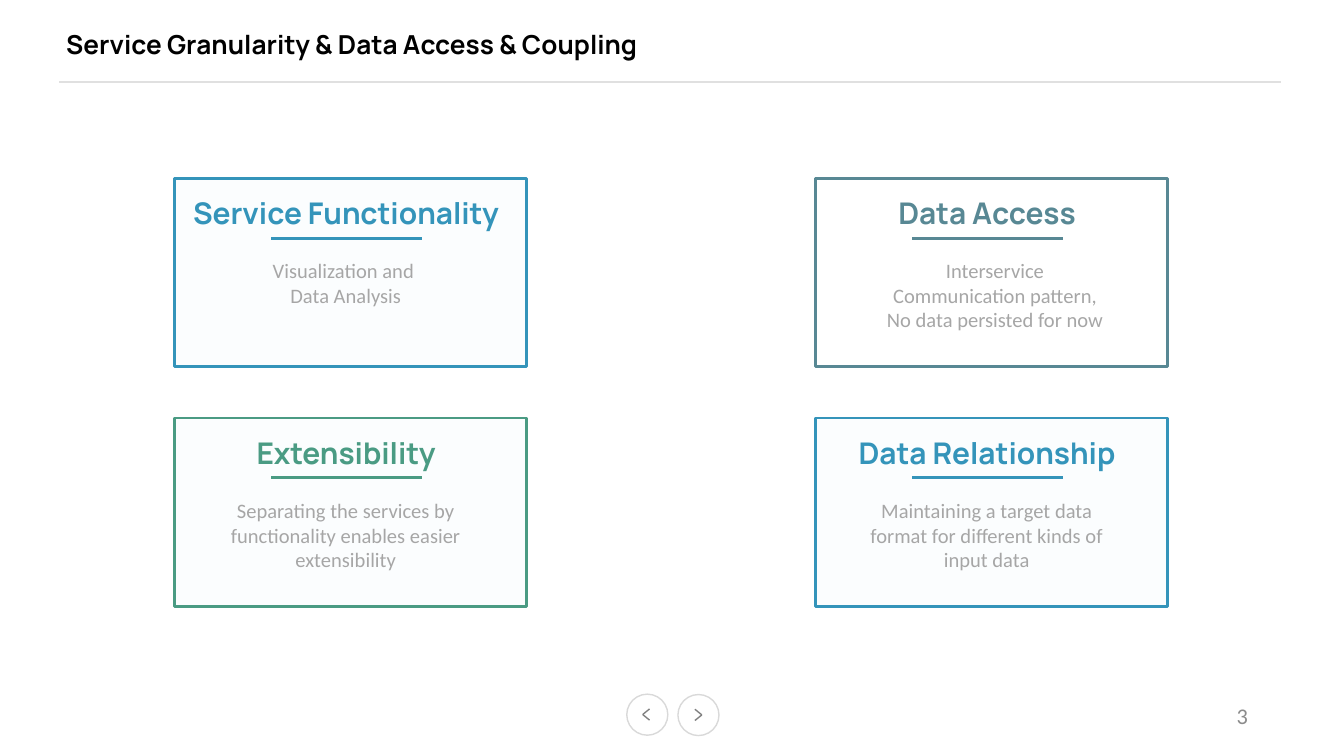
from dataclasses import dataclass

from lxml import etree
from pptx import Presentation
from pptx.dml.color import RGBColor
from pptx.enum import shapes, text
from pptx.oxml import ns
from pptx.util import Pt


@dataclass(frozen=True)
class Theme:
    heading_font: str = "Manrope"
    body_font: str = "Calibri"
    title_size: float = 14
    heading_size: float = 16
    body_size: float = 11
    number_size: float = 12
    thin: float = 0.75
    thick: float = 1.5
    black: str = "000000"
    white: str = "FFFFFF"
    blue: str = "3494BA"
    slate: str = "588894"
    green: str = "4A9B83"
    tint: str = "D4EAF3"
    body_gray: str = "A6A6A6"
    number_gray: str = "8C8C8C"
    divider_gray: str = "E0E0E0"
    button_gray: str = "D9D9D9"
    arrow_gray: str = "808080"
    fill_opacity: int = 8


@dataclass(frozen=True)
class Card:
    column: int
    row: int
    heading: str
    body: str
    color: str
    fill: str
    body_width: float = 140


@dataclass(frozen=True)
class NavigationButton:
    left: float
    top: float
    tip_x: float
    tail_x: float


THEME = Theme()
COLUMN_LEFTS = (93.6, 437)
ROW_TOPS = (95.6, 224)
CARD_WIDTH, CARD_HEIGHT = 188.6, 100.8

CARDS = (
    Card(0, 0, "Service Functionality", "Visualization and \vData Analysis", THEME.blue, THEME.tint),
    Card(0, 1, "Extensibility",
         "Separating the services by functionality enables easier extensibility",
         THEME.green, THEME.tint),
    Card(1, 0, "Data Access",
         "Interservice\vCommunication pattern,\nNo data persisted for now",
         THEME.slate, THEME.white, 149),
    Card(1, 1, "Data Relationship",
         "Maintaining a target data format for different kinds of input data",
         THEME.blue, THEME.tint),
)
BUTTONS = (NavigationButton(335.8, 371.9, 344.3, 348), NavigationButton(363.2, 372.1, 376, 372.3))


def add_line(slide, start: tuple[float, float], end: tuple[float, float],
             color: str, width: float) -> None:
    line = slide.shapes.add_connector(
        shapes.MSO_CONNECTOR.STRAIGHT, *(Pt(value) for value in (*start, *end)))
    line.line.color.rgb = RGBColor.from_string(color)
    line.line.width = Pt(width)
    etree.SubElement(line._element.spPr, ns.qn("a:effectLst"))


def format_text(frame, font: str, size: float, color: str,
                alignment: text.PP_ALIGN, bold: bool = False) -> None:
    frame.word_wrap = True
    for paragraph in frame.paragraphs:
        paragraph.alignment = alignment
        for run in paragraph.runs:
            run.font.name = font
            run.font.size = Pt(size)
            run.font.bold = bold
            run.font.color.rgb = RGBColor.from_string(color)


def add_text(slide, box: tuple[float, float, float, float], content: str, font: str,
             size: float, color: str, alignment=text.PP_ALIGN.CENTER, bold: bool = False):
    frame = slide.shapes.add_textbox(*(Pt(value) for value in box)).text_frame
    frame.text = content
    format_text(frame, font, size, color, alignment, bold)
    return frame


def add_outline(slide, kind: shapes.MSO_SHAPE, box: tuple[float, float, float, float],
                color: str, width: float):
    shape = slide.shapes.add_shape(kind, *(Pt(value) for value in box))
    shape.shadow.inherit = False
    shape.fill.background()
    shape.line.color.rgb = RGBColor.from_string(color)
    shape.line.width = Pt(width)
    return shape


def fill_translucent(shape, color: str, opacity: int) -> None:
    shape.fill.solid()
    shape.fill.fore_color.rgb = RGBColor.from_string(color)
    color_element = shape._element.spPr.find(ns.qn("a:solidFill"))[0]
    etree.SubElement(color_element, ns.qn("a:alpha"), val=str(opacity * 1000))


def add_card(slide, card: Card) -> None:
    left, top = COLUMN_LEFTS[card.column], ROW_TOPS[card.row]
    frame = add_outline(slide, shapes.MSO_SHAPE.RECTANGLE,
                        (left, top, CARD_WIDTH, CARD_HEIGHT), card.color, THEME.thick)
    fill_translucent(frame, card.fill, THEME.fill_opacity)
    add_line(slide, (left + 132.4, top + 32), (left + 51.8, top + 32), card.color, THEME.thick)
    heading = add_text(slide, (left, top + 5.2, 183.6, 27), card.heading,
                       THEME.heading_font, THEME.heading_size, card.color, bold=True)
    body = add_text(slide, (left + 21.6, top + 39.2, card.body_width, 47.5), card.body,
                    THEME.body_font, THEME.body_size, THEME.body_gray)
    for text_frame in (heading, body):
        text_frame.auto_size = text.MSO_AUTO_SIZE.SHAPE_TO_FIT_TEXT


def add_button(slide, button: NavigationButton) -> None:
    add_outline(slide, shapes.MSO_SHAPE.OVAL, (button.left, button.top, 22, 22),
                THEME.button_gray, THEME.thin)
    middle = button.top + 10.9
    for offset in (-3, 3):
        add_line(slide, (button.tip_x, middle), (button.tail_x, middle + offset),
                 THEME.arrow_gray, THEME.thin)


def add_title(slide, content: str) -> None:
    title = slide.shapes.title
    title.left, title.top, title.width, title.height = Pt(35.5), Pt(10), Pt(530), Pt(27)
    frame = title.text_frame
    frame.text = content
    frame.margin_left = frame.margin_top = frame.margin_right = frame.margin_bottom = 0
    frame.vertical_anchor = text.MSO_ANCHOR.MIDDLE
    frame.auto_size = text.MSO_AUTO_SIZE.NONE
    format_text(frame, THEME.heading_font, THEME.title_size, THEME.black,
                text.PP_ALIGN.LEFT, bold=True)


def main() -> None:
    presentation = Presentation()
    presentation.slide_width, presentation.slide_height = Pt(720), Pt(405)
    slide = presentation.slides.add_slide(presentation.slide_layouts[5])

    add_title(slide, "Service Granularity & Data Access & Coupling")
    add_line(slide, (686, 44), (31.7, 44), THEME.divider_gray, THEME.thin)
    for button in BUTTONS:
        add_button(slide, button)
    number = add_text(slide, (507.6, 372.4, 168, 21.6), "3", THEME.body_font,
                      THEME.number_size, THEME.number_gray, text.PP_ALIGN.RIGHT)
    number.vertical_anchor = text.MSO_ANCHOR.MIDDLE
    for card in CARDS:
        add_card(slide, card)

    presentation.save("out.pptx")


if __name__ == "__main__":
    main()
